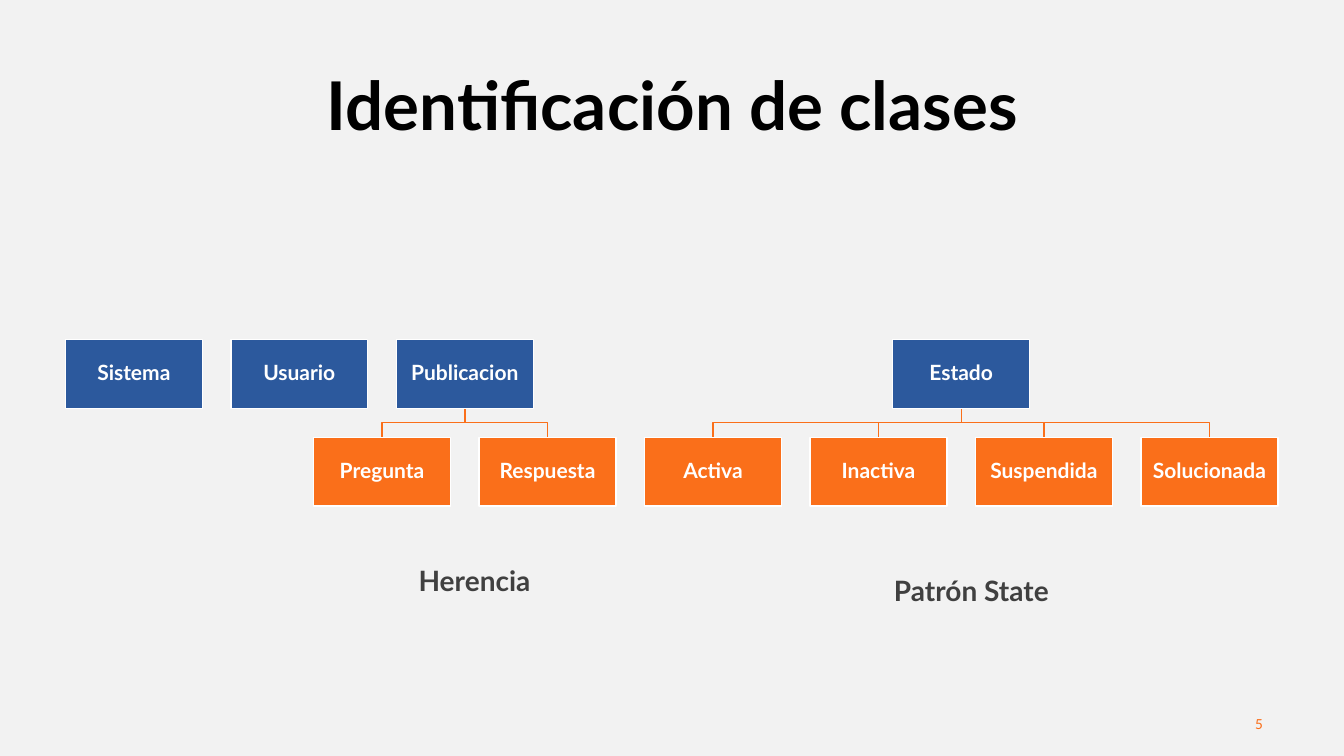
from pptx import Presentation
from pptx.dml.color import RGBColor
from pptx.enum.shapes import MSO_SHAPE
from pptx.enum.text import MSO_ANCHOR, PP_ALIGN
from pptx.util import Cm, Pt

RECTANGLE = MSO_SHAPE.RECTANGLE
TOP, MIDDLE = MSO_ANCHOR.TOP, MSO_ANCHOR.MIDDLE
CENTER, RIGHT = PP_ALIGN.CENTER, PP_ALIGN.RIGHT

COLORS = {
    "background": "F2F2F2",
    "blue": "2C599D",
    "orange": "FA6F1A",
    "white": "FFFFFF",
    "black": "000000",
    "gray": "404040",
}

# Class grid, in centimetres; columns may be halves
GRID_LEFT, COLUMN_STEP = 1.65, 4.17
BOX_WIDTH, BOX_HEIGHT = 3.45, 1.73
PARENT_TOP, CHILD_TOP = 8.56, 11.02

# Parent class, its column, and its child classes
CLASSES = [
    ("Sistema", 0, []),
    ("Usuario", 1, []),
    ("Publicacion", 2, ["Pregunta", "Respuesta"]),
    ("Estado", 5, ["Activa", "Inactiva", "Suspendida", "Solucionada"]),
]


def color(name):
    return RGBColor.from_string(COLORS[name])


class ClassSlide:
    def __init__(self, deck, font="Lato"):
        self.font = font
        self.page = deck.slides.add_slide(deck.slide_layouts[6])
        fill = self.page.background.fill
        fill.solid()
        fill.fore_color.rgb = color("background")

    def set_text(self, box, text, size, ink, align=CENTER, anchor=MIDDLE,
                 bold=True, font=None, spacing=0.9):
        frame = box.text_frame
        frame.word_wrap = True
        frame.vertical_anchor = anchor
        frame.text = text
        para = frame.paragraphs[0]
        para.alignment = align
        para.line_spacing = spacing
        span = para.runs[0]
        span.font.name = font or self.font
        span.font.size = Pt(size)
        span.font.bold = bold
        span.font.color.rgb = color(ink)
        return para

    def label(self, text, left, top, width, height, size, ink, **style):
        box = self.page.shapes.add_textbox(Cm(left), Cm(top), Cm(width), Cm(height))
        return self.set_text(box, text, size, ink, **style)

    def class_box(self, name, column, top, fill):
        left = GRID_LEFT + column * COLUMN_STEP
        box = self.page.shapes.add_shape(
            RECTANGLE, Cm(left), Cm(top), Cm(BOX_WIDTH), Cm(BOX_HEIGHT))
        box.shadow.inherit = False
        box.fill.solid()
        box.fill.fore_color.rgb = color(fill)
        box.line.color.rgb = color("white")
        box.line.width = Pt(1)
        frame = box.text_frame
        frame.margin_left = frame.margin_right = Cm(0.03)
        frame.margin_top = frame.margin_bottom = Cm(0.03)
        self.set_text(box, name, 15, "white")

    def branch(self, parent_column, child_column):
        start, end = (Cm(GRID_LEFT + column * COLUMN_STEP + BOX_WIDTH / 2)
                      for column in (parent_column, child_column))
        bottom = PARENT_TOP + BOX_HEIGHT
        bend = Cm((bottom + CHILD_TOP) / 2)
        builder = self.page.shapes.build_freeform(start, Cm(bottom))
        builder.add_line_segments(
            [(start, bend), (end, bend), (end, Cm(CHILD_TOP))], close=False)
        line = builder.convert_to_shape()
        line.shadow.inherit = False
        line.fill.background()
        line.line.color.rgb = color("orange")
        line.line.width = Pt(1)

    def family(self, parent, column, children):
        first = column - (len(children) - 1) / 2
        for index in range(len(children)):
            self.branch(column, first + index)
        self.class_box(parent, column, PARENT_TOP, "blue")
        for index, child in enumerate(children):
            self.class_box(child, first + index, CHILD_TOP, "orange")


def main():
    deck = Presentation()
    deck.slide_width, deck.slide_height = Cm(33.87), Cm(19.05)
    slide = ClassSlide(deck)

    # Title
    slide.label("Identificación de clases", 2.34, 1.75, 29.21, 1.96, 48, "black")

    # Class hierarchy
    for parent, column, children in CLASSES:
        slide.family(parent, column, children)

    # Captions
    for caption, left, top in [("Herencia", 4.9, 14.17), ("Patrón State", 17.42, 14.43)]:
        para = slide.label(caption, left, top, 14.12, 1.22, 20, "gray", anchor=TOP)
        para.space_before = Pt(10)

    # Page number
    slide.label("5", 24.46, 17.73, 7.62, 1.02, 11, "orange", align=RIGHT,
                bold=False, font="Calibri", spacing=1.0)

    deck.save("out.pptx")


if __name__ == "__main__":
    main()
